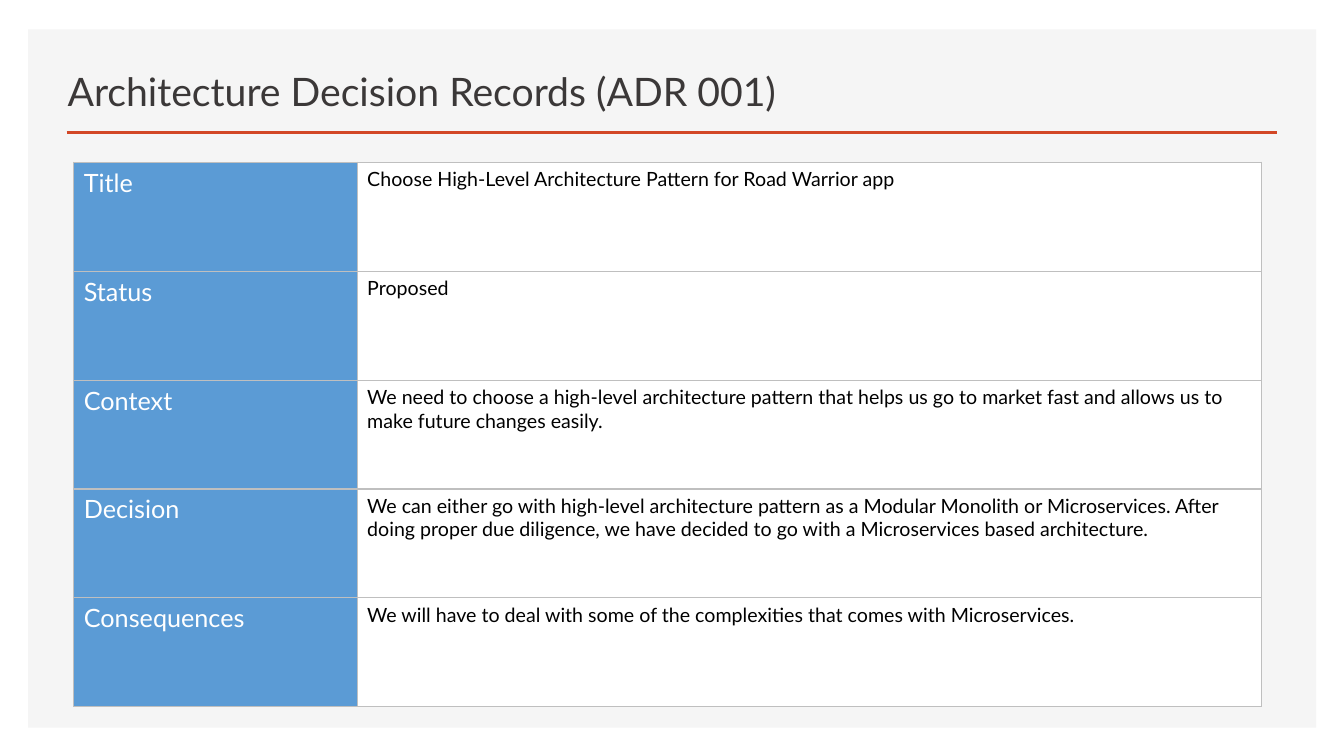
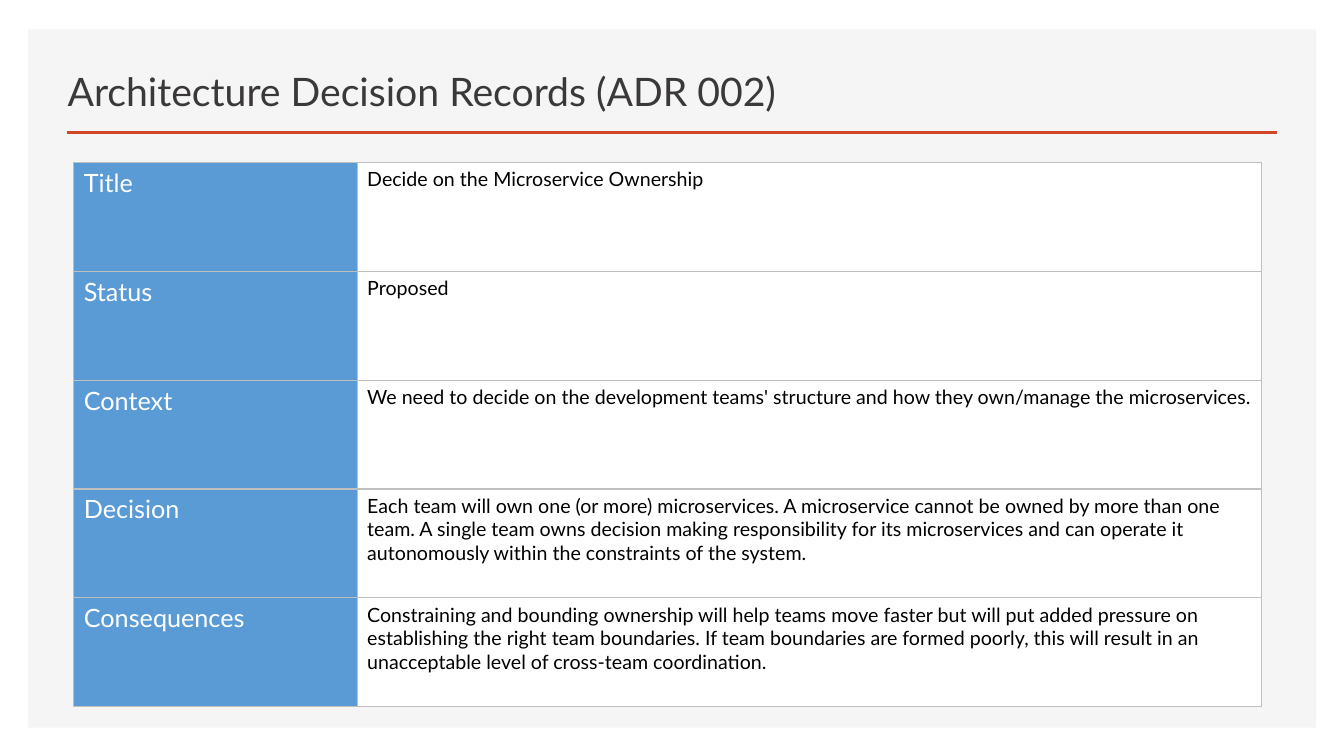
import lxml.etree
import pptx
import pptx.dml.color
import pptx.enum.shapes
import pptx.enum.text
import pptx.oxml.ns
import pptx.util

Cm = pptx.util.Cm
Pt = pptx.util.Pt
RGBColor = pptx.dml.color.RGBColor
qn = pptx.oxml.ns.qn

# Shared look
PANEL_GREY = RGBColor(0xF5, 0xF5, 0xF5)
RULE_ORANGE = RGBColor(0xD2, 0x47, 0x26)
TITLE_GREY = RGBColor(0x3B, 0x38, 0x38)
LABEL_BLUE = RGBColor(0x5B, 0x9B, 0xD5)
BORDER_GREY = RGBColor(0xBF, 0xBF, 0xBF)
WHITE = RGBColor(0xFF, 0xFF, 0xFF)
BLACK = RGBColor(0, 0, 0)

FONT = "Lato"
TITLE_FORMAT = {"name": FONT, "size": Pt(28), "bold": False}
LABEL_FORMAT = {"name": FONT, "size": Pt(18), "bold": False}
DETAIL_FORMAT = {"name": FONT, "size": Pt(14), "bold": False}

# Boxes: left, top, width, height
PANEL_BOX = (Cm(0.71), Cm(0.74), Cm(32.46), Cm(17.6))
RULE_BOX = (Cm(1.68), Cm(3.33), Cm(30.5), Cm(0))
TITLE_BOX = (Cm(1.45), Cm(1.24), Cm(19.1), Cm(1.78))
TABLE_BOX = (Cm(1.86), Cm(4.09), Cm(29.94), Cm(13.72))
LABEL_WIDTH = Cm(7.14)

FIELDS = ("Title", "Status", "Context", "Decision", "Consequences")
RECORDS = {
    "001": (
        "Choose High-Level Architecture Pattern for Road Warrior app",
        "Proposed",
        "We need to choose a high-level architecture pattern that helps us go to "
        "market fast and allows us to make future changes easily.",
        "We can either go with high-level architecture pattern as a Modular Monolith "
        "or Microservices. After doing proper due diligence, we have decided to go "
        "with a Microservices based architecture.",
        "We will have to deal with some of the complexities that comes with "
        "Microservices.",
    ),
    "002": (
        "Decide on the Microservice Ownership",
        "Proposed",
        "We need to decide on the development teams' structure and how they "
        "own/manage the microservices.",
        "Each team will own one (or more) microservices. A microservice cannot be "
        "owned by more than one team. A single team owns decision making "
        "responsibility for its microservices and can operate it autonomously within "
        "the constraints of the system.",
        "Constraining and bounding ownership will help teams move faster but will put "
        "added pressure on establishing the right team boundaries. If team boundaries "
        "are formed poorly, this will result in an unacceptable level of cross-team "
        "coordination.",
    ),
}


def write_text(frame, text, font_format, color):
    """Put one formatted span into a text frame."""
    span = frame.paragraphs[0].add_run()
    span.text = text
    for name, value in font_format.items():
        setattr(span.font, name, value)
    span.font.color.rgb = color


def add_backdrop(page, panel_box, rule_box):
    """Draw the panel and title rule, then hand them to the page's layout."""
    panel = page.shapes.add_shape(
        pptx.enum.shapes.MSO_SHAPE.RECTANGLE, *panel_box)
    panel.shadow.inherit = False
    panel.fill.solid()
    panel.fill.fore_color.rgb = PANEL_GREY
    panel.line.fill.background()

    left, top, width, height = rule_box
    rule = page.shapes.add_connector(
        pptx.enum.shapes.MSO_CONNECTOR.STRAIGHT, left, top, left + width, top + height)
    rule.line.color.rgb = RULE_ORANGE
    rule.line.width = Pt(2)
    properties = rule.element.find(qn("p:spPr"))
    lxml.etree.SubElement(properties, qn("a:effectLst"))

    # The layout's tree opens with two property elements, then its shapes
    layout_tree = page.slide_layout.shapes.element
    for offset, part in enumerate((panel, rule)):
        part.element.xpath(".//p:cNvPr")[0].set("id", str(101 + offset))
        layout_tree.insert(2 + offset, part.element)


def place_title(page, box, text):
    title = page.shapes.title
    title.left, title.top, title.width, title.height = box
    frame = title.text_frame
    frame.word_wrap = True
    frame.auto_size = pptx.enum.text.MSO_AUTO_SIZE.NONE
    frame.vertical_anchor = pptx.enum.text.MSO_ANCHOR.BOTTOM
    write_text(frame, text, TITLE_FORMAT, TITLE_GREY)
    frame.paragraphs[0].alignment = pptx.enum.text.PP_ALIGN.LEFT


def set_borders(cell):
    """Give all four sides a thin line; borders come before the fill."""
    properties = cell._tc.get_or_add_tcPr()
    for index, side in enumerate(("lnL", "lnR", "lnT", "lnB")):
        border = lxml.etree.Element(qn("a:" + side), w=str(Pt(1)))
        fill = lxml.etree.SubElement(border, qn("a:solidFill"))
        lxml.etree.SubElement(fill, qn("a:srgbClr"), val=str(BORDER_GREY))
        properties.insert(index, border)


def place_record(page, box, details):
    """Table with one row a field: label on the left, detail on the right."""
    table = page.shapes.add_table(len(FIELDS), 2, *box).table
    table.first_row = table.horz_banding = False
    table.columns[0].width = LABEL_WIDTH
    table.columns[1].width = box[2] - LABEL_WIDTH
    styles = ((LABEL_FORMAT, WHITE, LABEL_BLUE), (DETAIL_FORMAT, BLACK, WHITE))
    for row, texts in zip(table.rows, zip(FIELDS, details)):
        for cell, text, (font_format, color, fill) in zip(row.cells, texts, styles):
            write_text(cell.text_frame, text, font_format, color)
            cell.fill.solid()
            cell.fill.fore_color.rgb = fill
            set_borders(cell)


def main():
    deck = pptx.Presentation()
    deck.slide_width, deck.slide_height = Cm(33.87), Cm(19.05)
    layout = deck.slide_layouts.get_by_name("Title Only")
    for number, details in RECORDS.items():
        page = deck.slides.add_slide(layout)
        place_title(page, TITLE_BOX, f"Architecture Decision Records (ADR {number})")
        place_record(page, TABLE_BOX, details)
    add_backdrop(page, PANEL_BOX, RULE_BOX)
    deck.save("out.pptx")


if __name__ == "__main__":
    main()
